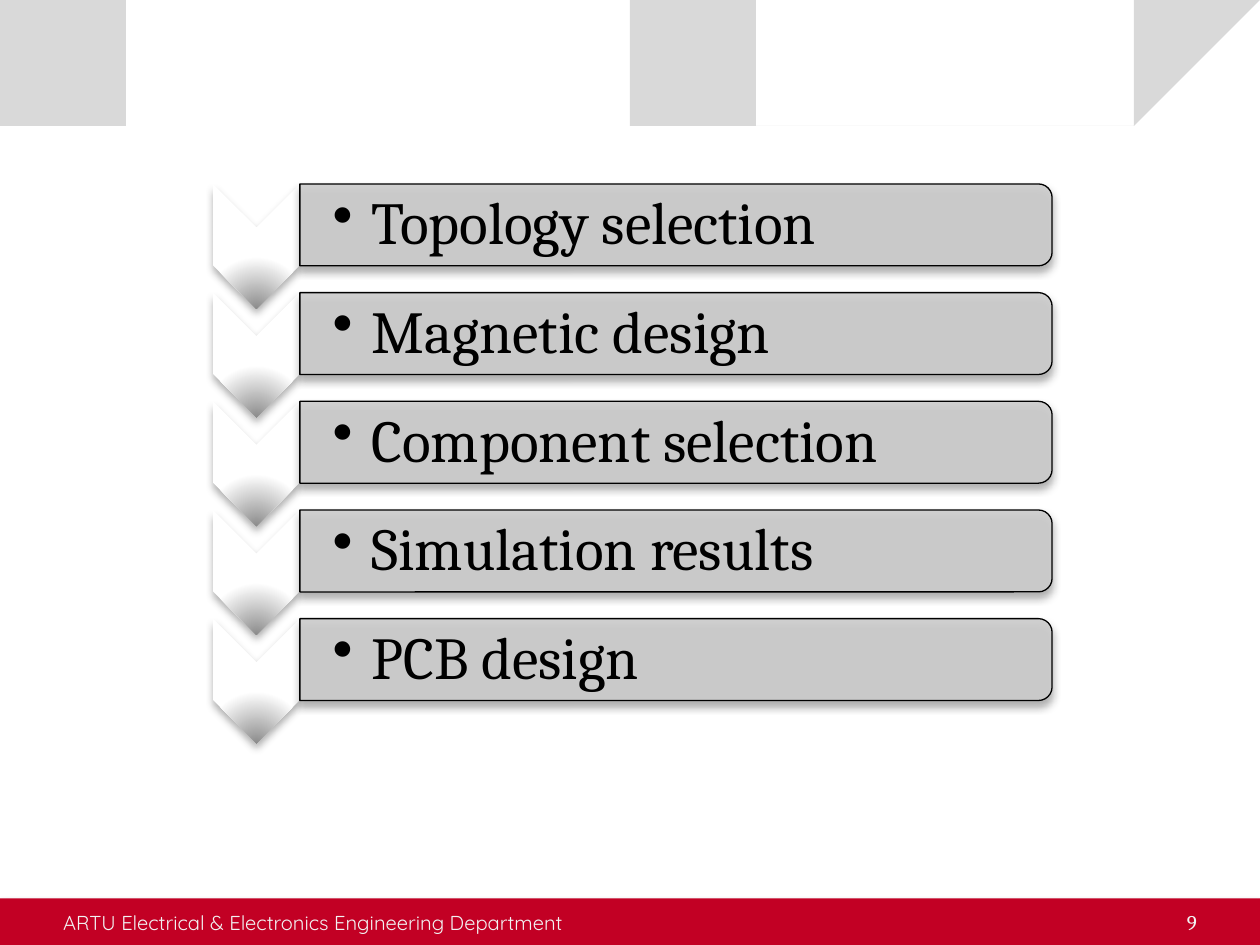
"""Build a slide listing the five design stages beside downward chevrons."""
from lxml.etree import SubElement
from pptx import Presentation
from pptx.dml.color import RGBColor
from pptx.enum.shapes import MSO_SHAPE
from pptx.enum.text import MSO_ANCHOR, PP_ALIGN
from pptx.oxml import parse_xml
from pptx.oxml.ns import nsdecls, qn
from pptx.util import Inches, Pt

STAGES = ["Topology selection", "Magnetic design", "Component selection",
          "Simulation results", "PCB design"]
DEPARTMENT = "ARTU Electrical & Electronics Engineering Department"
PAGE_NUMBER = "9"
COLORS = {"red": "C20024", "wave": "D9D9D9", "footer": "F2F2F2", "bar": "CCCCCC",
          "black": "000000", "white": "FFFFFF", "tip": "8C8C8C",
          "footer_shadow": "042747", "chevron_shadow": "5A5A5A", "bar_shadow": "484848"}
WAVE = [
    [(0, -0.01)],
    [(4.4, -0.01)],
    [(4.76, 0.17), (6.64, 0.63), (7.58, 0.63)],
    [(8.53, 0.63), (9.58, 0.26), (10, 0.09)],
    [(10.01, 0.36)],
    [(9.83, 0.44), (8.7, 0.76), (7.46, 0.75)],
    [(6.22, 0.75), (3.82, 0.28), (2.57, 0.34)],
    [(1.29, 0.35), (0.46, 0.83), (-0.01, 1.13)],
]
CURVE_STEPS = 24
FIRST_TOP, STAGE_PITCH = 1.46, 0.8625
BAR_LEFT, BAR_LENGTH, BAR_HEIGHT = 2.38, 5.97, 0.65
CHEVRON_LEFT, CHEVRON_WIDTH, CHEVRON_HEIGHT = 1.69, 0.69, 0.99


def color(name):
    return RGBColor.from_string(COLORS[name])


def curve_points(start, controls):
    first, second, end = controls
    for step in range(1, CURVE_STEPS + 1):
        t = step / CURVE_STEPS
        weights = ((1 - t) ** 3, 3 * t * (1 - t) ** 2, 3 * t * t * (1 - t), t ** 3)
        corners = (start, first, second, end)
        yield tuple(sum(w * corner[axis] for w, corner in zip(weights, corners))
                    for axis in (0, 1))


def wave_points():
    points = []
    for segment in WAVE:
        points.extend(segment if len(segment) == 1 else curve_points(points[-1], segment))
    return points


def add_shadow(shape, name):
    shape.shadow.inherit = False
    effects = shape._element.spPr.find(qn("a:effectLst"))
    shadow = SubElement(effects, qn("a:outerShdw"), blurRad=str(Pt(4.5)), dist=str(Pt(3)),
                        dir="5400000", rotWithShape="0")
    tint = SubElement(shadow, qn("a:srgbClr"), val=COLORS[name])
    SubElement(tint, qn("a:alpha"), val="48000")


def add_shape(page, kind, left, top, width, height, fill, shadow, turned=False):
    if turned:
        left, top = left + (width - height) / 2, top + (height - width) / 2
        width, height = height, width
    shape = page.shapes.add_shape(kind, *map(Inches, (left, top, width, height)))
    shape.rotation = 90 if turned else 0
    shape.fill.solid()
    shape.fill.fore_color.rgb = color(fill)
    shape.line.fill.background()
    add_shadow(shape, shadow)
    return shape


def add_text(page, place, text, size, font, name, anchor, insets=(0, 0, 0, 0)):
    box = page.shapes.add_textbox(*map(Inches, place))
    frame = box.text_frame
    frame.word_wrap = True
    frame.vertical_anchor = anchor
    frame.margin_left, frame.margin_top, frame.margin_right, frame.margin_bottom = map(
        Inches, insets)
    para = frame.paragraphs[0]
    span = para.add_run()
    span.text = text
    span.font.size = Pt(size)
    span.font.name = font
    span.font.color.rgb = color(name)
    return para


def shade_tip(chevron):
    stops = "".join(f'<a:gs pos="{position}"><a:srgbClr val="{COLORS[name]}"/></a:gs>'
                    for position, name in ((0, "tip"), (68000, "white"), (100000, "white")))
    gradient = parse_xml(
        f'<a:gradFill {nsdecls("a")} rotWithShape="0"><a:gsLst>{stops}</a:gsLst>'
        '<a:path path="circle"><a:fillToRect l="50000" t="130000" r="50000" b="-30000"/>'
        '</a:path></a:gradFill>')
    properties = chevron._element.spPr
    properties.replace(properties.find(qn("a:solidFill")), gradient)


def add_stage(page, index, text):
    top = FIRST_TOP + index * STAGE_PITCH
    chevron = add_shape(page, MSO_SHAPE.CHEVRON, CHEVRON_LEFT, top, CHEVRON_WIDTH,
                        CHEVRON_HEIGHT, "white", "chevron_shadow", turned=True)
    shade_tip(chevron)
    bar = add_shape(page, MSO_SHAPE.ROUND_2_SAME_RECTANGLE, BAR_LEFT, top, BAR_LENGTH,
                    BAR_HEIGHT, "bar", "bar_shadow", turned=True)
    tint = bar._element.spPr.find(qn("a:solidFill"))[0]
    SubElement(tint, qn("a:alpha"), val="90000")
    bar.line.color.rgb = color("black")
    bar.line.width = Pt(0.75)
    para = add_text(page, (BAR_LEFT, top + 0.04, 5.94, 0.58), text, 34, "Cambria", "black",
                    MSO_ANCHOR.MIDDLE, (0.26, 0.02, 0.02, 0.02))
    para.line_spacing = 0.9
    settings = para._p.get_or_add_pPr()
    settings.set("marL", str(Inches(0.31)))
    settings.set("indent", str(Inches(-0.31)))
    SubElement(settings, qn("a:buChar"), char="•")


deck = Presentation()
deck.slide_width, deck.slide_height = Inches(10), Inches(7.5)
page = deck.slides.add_slide(deck.slide_layouts[6])

add_shape(page, MSO_SHAPE.RECTANGLE, 0, 7.13, 10, 0.37, "red", "footer_shadow")

start, *rest = wave_points()
builder = page.shapes.build_freeform(*start, scale=Inches(1))
builder.add_line_segments(rest, close=True)
wave = builder.convert_to_shape()
wave.fill.solid()
wave.fill.fore_color.rgb = color("wave")
wave.line.fill.background()
wave.shadow.inherit = False

number = add_text(page, (8.87, 7.13, 0.63, 0.29), PAGE_NUMBER, 12, "Cambria", "footer",
                  MSO_ANCHOR.BOTTOM)
number.alignment = PP_ALIGN.RIGHT
add_text(page, (0.5, 7.13, 4.38, 0.29), DEPARTMENT, 11.5, "Quicksand", "footer",
         MSO_ANCHOR.BOTTOM)

for index, stage in enumerate(STAGES):
    add_stage(page, index, stage)

deck.save("out.pptx")
